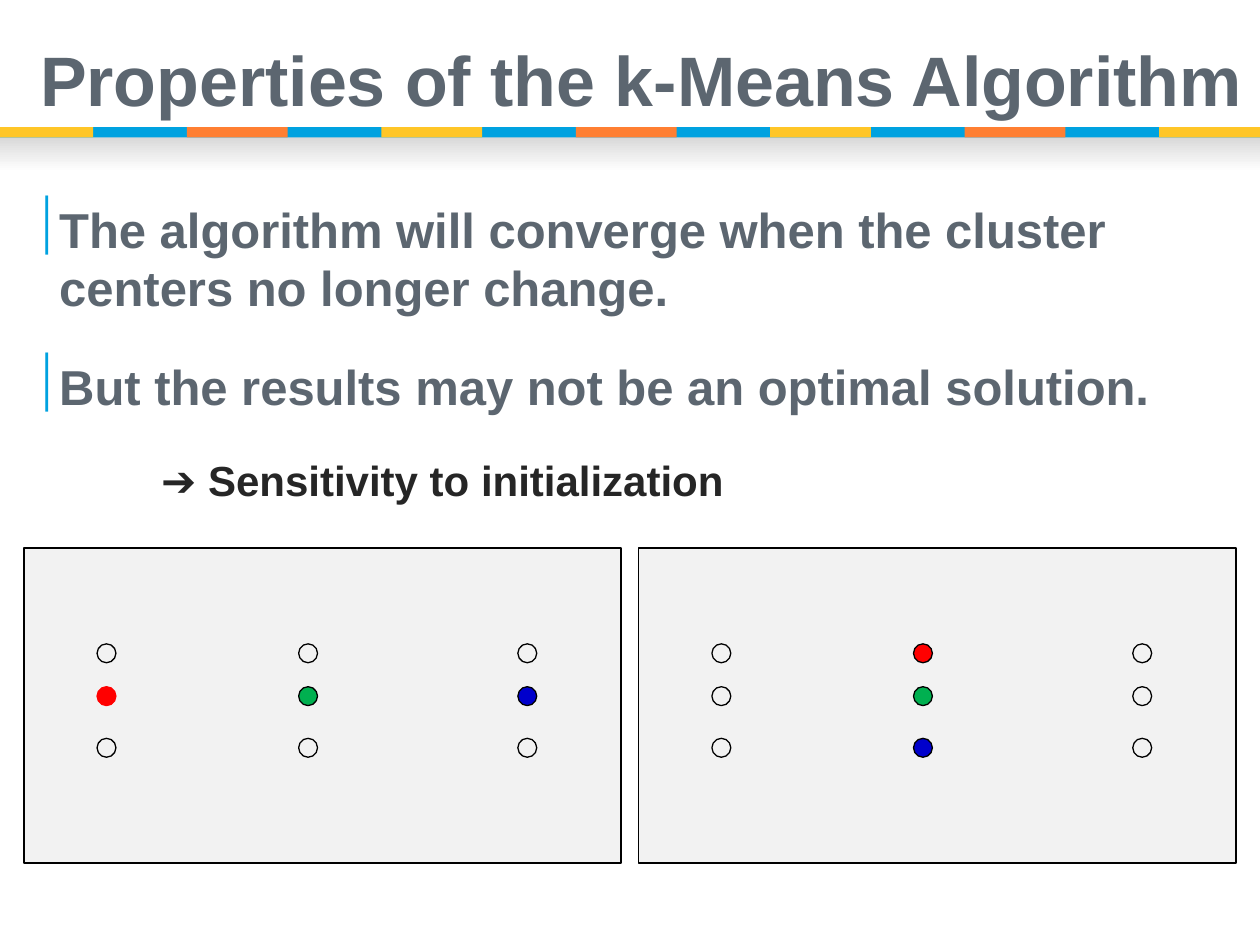
from lxml import etree
from pptx import Presentation
from pptx.dml.color import RGBColor
from pptx.enum.shapes import MSO_SHAPE
from pptx.enum.text import MSO_ANCHOR
from pptx.oxml.ns import qn
from pptx.util import Inches, Pt

RECT = MSO_SHAPE.RECTANGLE
OVAL = MSO_SHAPE.OVAL
MIDDLE = MSO_ANCHOR.MIDDLE

WHITE = RGBColor(0xFF, 0xFF, 0xFF)
BLACK = RGBColor(0, 0, 0)
SLATE = RGBColor(0x5C, 0x66, 0x70)
DARK = RGBColor(0x26, 0x26, 0x26)
SHADE = RGBColor(0xD9, 0xD9, 0xD9)
PALE = RGBColor(0xF2, 0xF2, 0xF2)
SKY = RGBColor(0x00, 0xA2, 0xE0)
GOLD = RGBColor(0xFF, 0xC6, 0x27)
ORANGE = RGBColor(0xFF, 0x7F, 0x32)
RED = RGBColor(0xFF, 0, 0)
GREEN = RGBColor(0, 0xB0, 0x50)
BLUE = RGBColor(0, 0, 0xCC)

COLS = (0.58, 2.18, 3.92)
ROWS = (0.76, 1.1, 1.51)
DOT = 0.15


def add_form(slide, kind, box, fill=None, line=None):
    """Add a plain shape with an optional fill and outline."""
    form = slide.shapes.add_shape(kind, *map(Inches, box))
    form.shadow.inherit = False
    if fill is None:
        form.fill.background()
    else:
        form.fill.solid()
        form.fill.fore_color.rgb = fill
    if line is None:
        form.line.fill.background()
    else:
        form.line.color.rgb = line
        form.line.width = Pt(0.75)
    return form


def add_band(slide, left, top, width, height):
    """Draw the striped band and the soft shade below it."""
    shade = add_form(slide, RECT, (left, top + height, width, 0.27))
    shade.fill.gradient()
    shade.fill.gradient_angle = 270
    for stop, color in zip(shade.fill.gradient_stops, (SHADE, WHITE)):
        stop.color.rgb = color
    add_form(slide, RECT, (left, top, width, height), SKY)
    count, size = 7, 0.8
    pitch = (width + 0.06 - size) / (count - 1)
    for i in range(count):
        start = max(0, i * pitch - 0.06)
        end = i * pitch - 0.06 + size
        color = ORANGE if i % 2 else GOLD
        add_form(slide, RECT, (left + start, top, end - start, height), color)


def set_font(para, size, color):
    """Set the bold font of a paragraph."""
    font = para.font
    font.name = "Arial"
    font.size = Pt(size)
    font.bold = True
    font.color.rgb = color


def set_bullet(para):
    """Give a paragraph a hanging blue bar as its bullet."""
    props = para._p.get_or_add_pPr()
    props.set("marL", str(Inches(0.19)))
    props.set("indent", str(-Inches(0.19)))
    parts = [etree.Element(qn("a:" + tag)) for tag in ("buClr", "buSzPct", "buChar")]
    etree.SubElement(parts[0], qn("a:srgbClr")).set("val", str(SKY))
    parts[1].set("val", "120000")
    parts[2].set("char", "|")
    spot = props.index(props.find(qn("a:defRPr")))
    props[spot:spot] = parts


def add_title(slide, box, text):
    """Place the slide title."""
    frame = slide.shapes.add_textbox(*map(Inches, box)).text_frame
    frame.word_wrap = True
    frame.vertical_anchor = MIDDLE
    para = frame.paragraphs[0]
    para.text = text
    para.line_spacing = 0.9
    set_font(para, 40, SLATE)


def add_body(slide, box, points, note):
    """Place the bulleted points and the indented note."""
    frame = slide.shapes.add_textbox(*map(Inches, box)).text_frame
    frame.word_wrap = True
    frame.margin_left = frame.margin_right = Inches(0.07)
    frame.margin_top = frame.margin_bottom = Inches(0.04)
    for i, text in enumerate(points + [note]):
        para = frame.add_paragraph() if i else frame.paragraphs[0]
        para.text = text
        para.space_before = Pt(18)
        para.space_after = Pt(4.5)
        if text == note:
            set_font(para, 24, DARK)
            para._p.get_or_add_pPr().set("marL", str(Inches(1)))
        else:
            set_font(para, 28, SLATE)
            set_bullet(para)


def add_panel(slide, box, seeds):
    """Draw a panel of points; seeds maps (row, column) to fill and outline."""
    left, top = box[:2]
    add_form(slide, RECT, box, PALE, BLACK)
    for r, y in enumerate(ROWS):
        for c, x in enumerate(COLS):
            fill, line = seeds.get((r, c), (None, BLACK))
            add_form(slide, OVAL, (left + x, top + y, DOT, DOT), fill, line)


def main():
    """Build and save the slide."""
    deck = Presentation()
    deck.slide_width, deck.slide_height = Inches(10), Inches(7.5)
    slide = deck.slides.add_slide(deck.slide_layouts[6])
    add_band(slide, 0, 1.01, 10, 0.08)
    add_body(slide, (0.21, 1.54, 9.53, 2.7), [
        "The algorithm will converge when the cluster centers no longer change.",
        "But the results may not be an optimal solution.",
    ], "\u2794 Sensitivity to initialization")
    add_panel(slide, (0.19, 4.35, 4.74, 2.5), {
        (1, 0): (RED, RED), (1, 1): (GREEN, BLACK), (1, 2): (BLUE, BLACK)})
    add_panel(slide, (5.07, 4.35, 4.74, 2.5), {
        (0, 1): (RED, BLACK), (1, 1): (GREEN, BLACK), (2, 1): (BLUE, BLACK)})
    add_title(slide, (0.22, 0.18, 9.97, 0.97), "Properties of the k-Means Algorithm")
    deck.save("out.pptx")


main()
